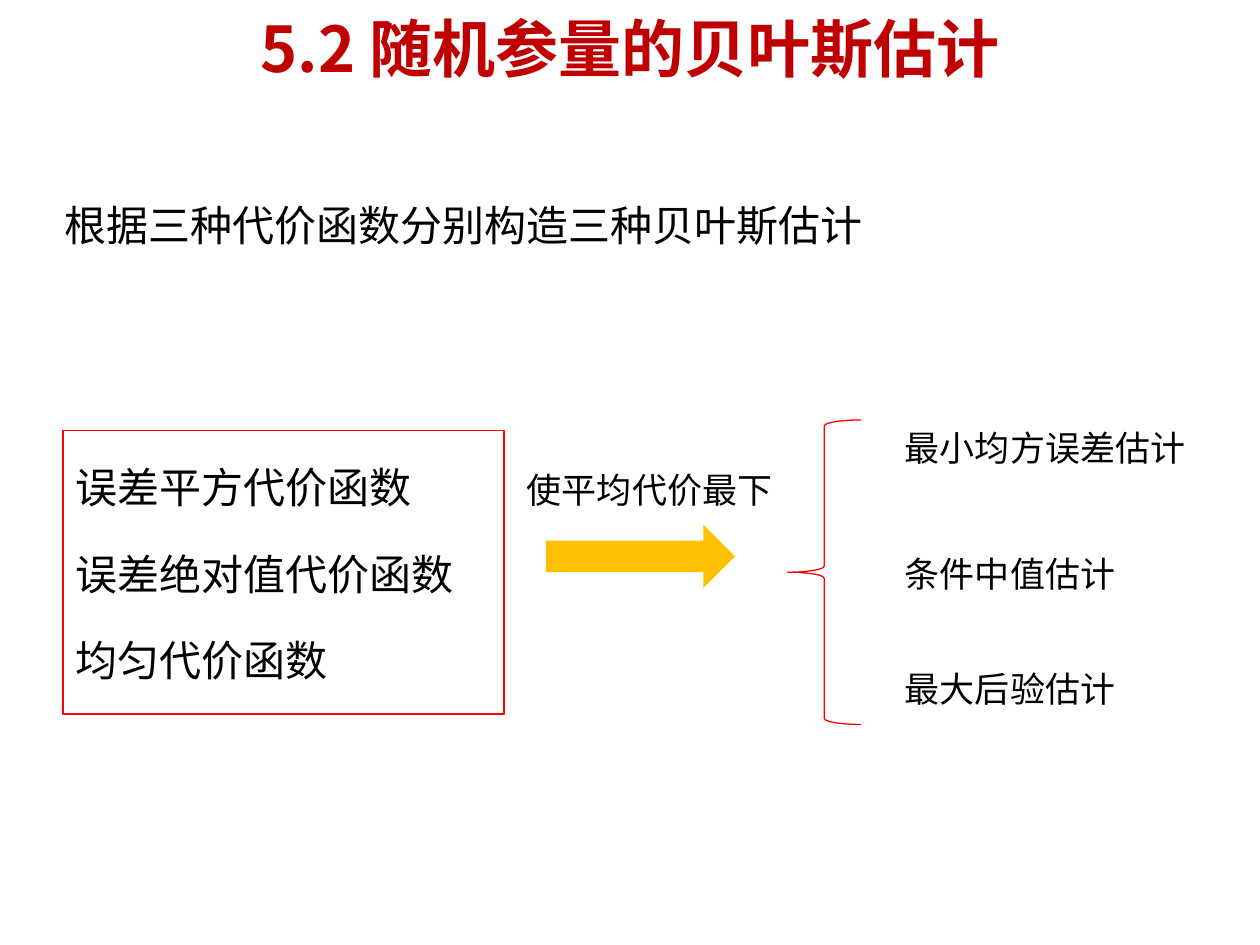
from dataclasses import dataclass

from pptx import Presentation
from pptx.dml.color import RGBColor
from pptx.enum.shapes import MSO_SHAPE as Shape
from pptx.enum.text import MSO_ANCHOR as Anchor, PP_ALIGN as Align
from pptx.util import Inches, Pt


@dataclass(frozen=True)
class Theme:
    title_font: str = "Noto Sans CJK SC"
    body_font: str = "Times New Roman"
    ink: RGBColor = RGBColor(0, 0, 0)
    title_ink: RGBColor = RGBColor(0xC0, 0, 0)
    outline: RGBColor = RGBColor(0xFF, 0, 0)
    accent: RGBColor = RGBColor(0xFF, 0xC0, 0)
    title_size: int = 36
    body_size: int = 24
    label_size: int = 20
    line_width: float = 0.75


class SlideBuilder:
    """Places elements on a grid of 120 columns by 90 rows."""

    COLUMNS, ROWS = 120, 90

    def __init__(self, deck, theme):
        self.deck = deck
        self.theme = theme
        self.page = deck.slides.add_slide(deck.slide_layouts[6])

    def area(self, column, row, columns, rows):
        cell_width = self.deck.slide_width / self.COLUMNS
        cell_height = self.deck.slide_height / self.ROWS
        return (round(column * cell_width), round(row * cell_height),
                round(columns * cell_width), round(rows * cell_height))

    def title(self, text, *area):
        box = self.page.shapes.add_textbox(*self.area(*area))
        frame = box.text_frame
        frame.word_wrap = True
        frame.vertical_anchor = Anchor.MIDDLE
        para = frame.paragraphs[0]
        para.text = text
        para.alignment = Align.CENTER
        font = para.font
        font.name, font.size, font.bold = self.theme.title_font, Pt(self.theme.title_size), True
        font.color.rgb = self.theme.title_ink

    def fill_lines(self, box, lines, size):
        frame = box.text_frame
        frame.word_wrap = True
        frame.vertical_anchor = Anchor.TOP
        for index, line in enumerate(lines):
            para = frame.add_paragraph() if index else frame.paragraphs[0]
            para.text = line
            para.alignment = Align.LEFT
            para.line_spacing = 1.5
            if index:
                para.space_before = Pt(size / 4)
            para.font.name, para.font.size = self.theme.body_font, Pt(size)
            para.font.color.rgb = self.theme.ink

    def text(self, line, size, *area):
        self.fill_lines(self.page.shapes.add_textbox(*self.area(*area)), [line], size)

    def outlined(self, kind, *area):
        shape = self.page.shapes.add_shape(kind, *self.area(*area))
        shape.shadow.inherit = False
        shape.fill.background()
        shape.line.color.rgb = self.theme.outline
        shape.line.width = Pt(self.theme.line_width)
        return shape

    def panel(self, lines, *area):
        self.fill_lines(self.outlined(Shape.RECTANGLE, *area), lines, self.theme.body_size)

    def brace(self, *area):
        self.outlined(Shape.LEFT_BRACE, *area)

    def arrow(self, *area):
        shape = self.page.shapes.add_shape(Shape.RIGHT_ARROW, *self.area(*area))
        shape.shadow.inherit = False
        shape.fill.solid()
        shape.fill.fore_color.rgb = self.theme.accent
        shape.line.fill.background()


def main():
    deck = Presentation()
    deck.slide_width, deck.slide_height = Inches(10), Inches(7.5)
    theme = Theme()
    slide = SlideBuilder(deck, theme)

    slide.title("5.2 随机参量的贝叶斯估计", 0, 0, 120, 9)
    slide.text("根据三种代价函数分别构造三种贝叶斯估计", theme.body_size, 5, 16, 110, 10)
    slide.panel(["误差平方代价函数", "误差绝对值代价函数", "均匀代价函数"], 6, 41, 42, 27)
    slide.arrow(52, 50, 18, 6)
    slide.text("使平均代价最下", theme.label_size, 49, 42, 28, 10)
    slide.brace(75, 40, 7, 29)

    estimates = {"最小均方误差估计": 38, "条件中值估计": 50, "最大后验估计": 61}
    for estimate, row in estimates.items():
        slide.text(estimate, theme.label_size, 85, row, 30, 10)

    deck.save("out.pptx")


if __name__ == "__main__":
    main()
